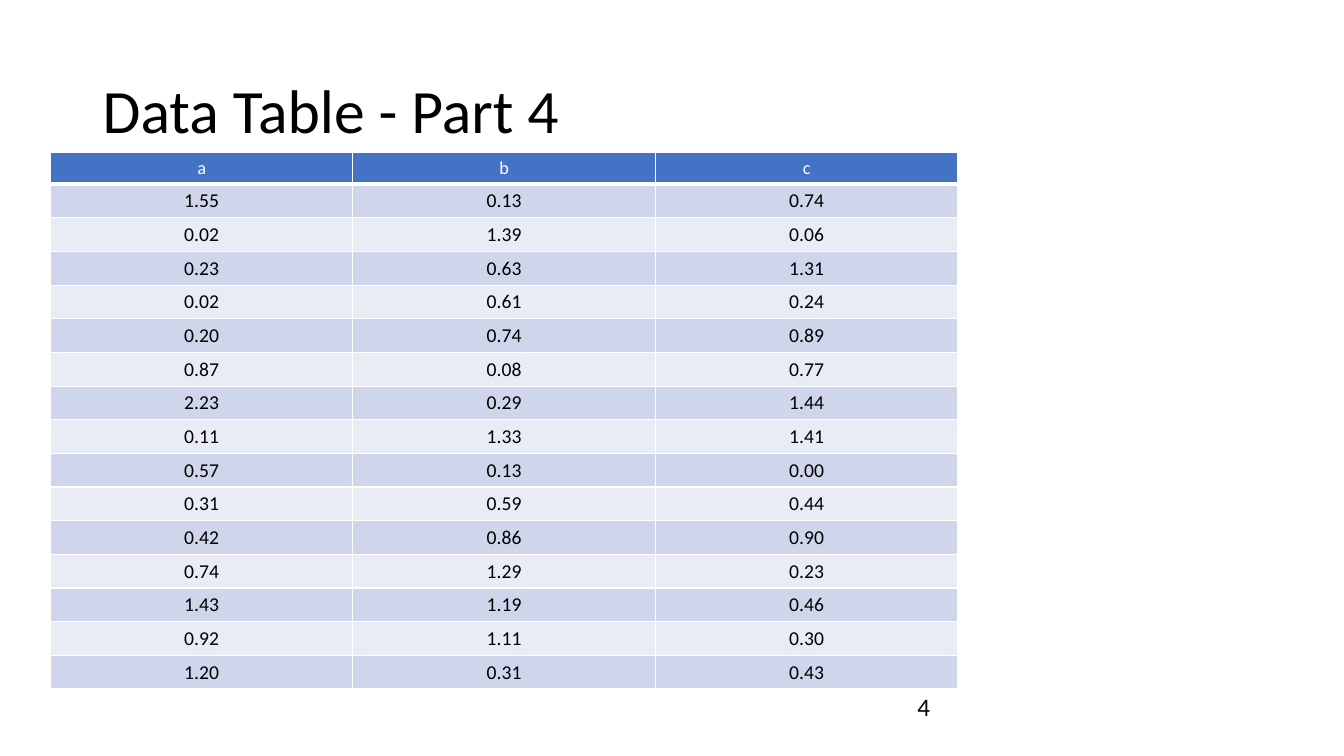
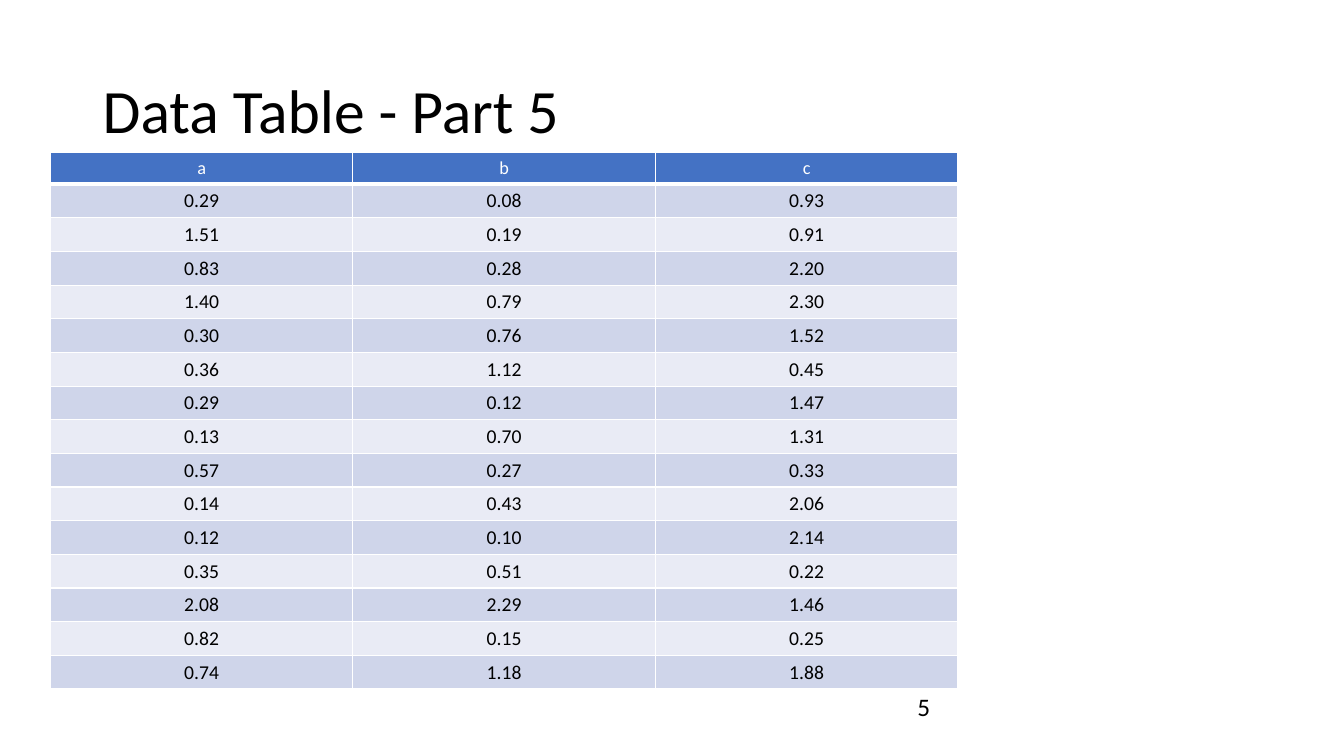
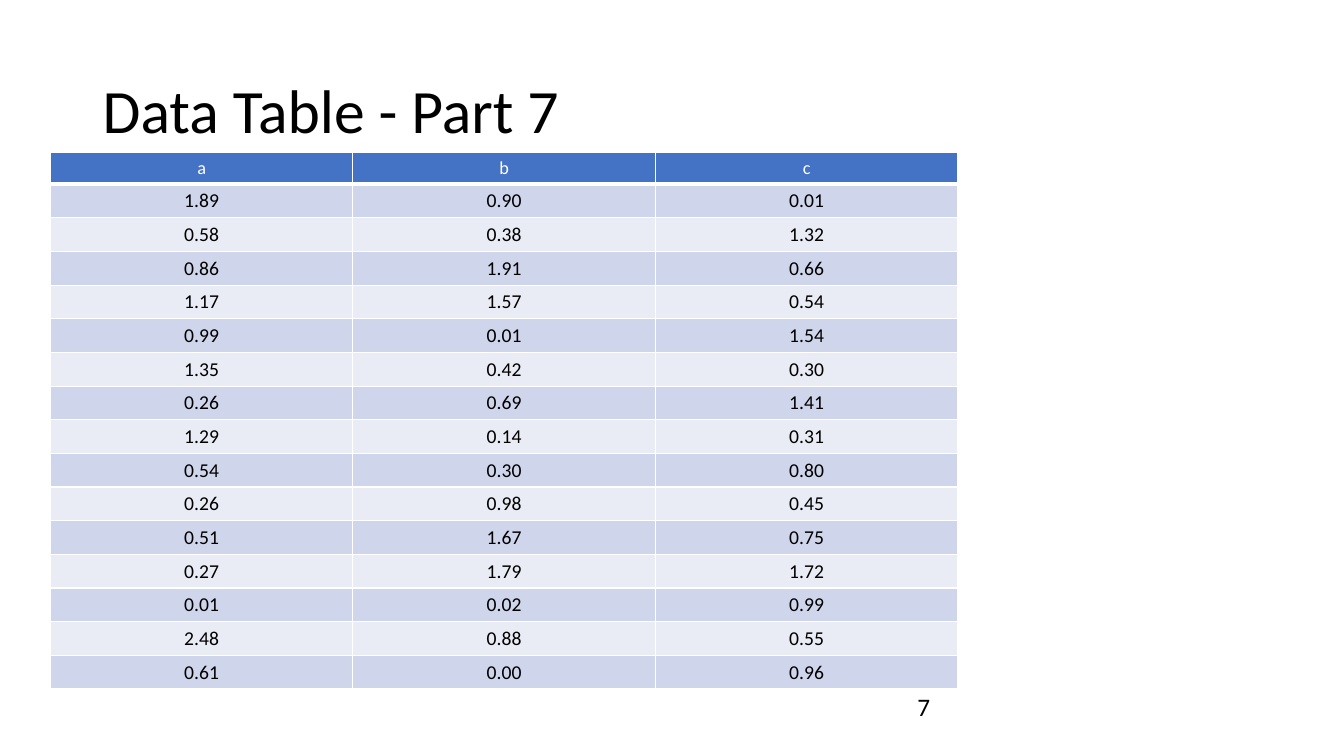
import pptx
import pptx.dml.color
import pptx.enum.text
import pptx.oxml
import pptx.oxml.ns
import pptx.util
from pptx.dml.color import RGBColor
from pptx.util import Inches

# Shared look
BLACK = RGBColor(0x00, 0x00, 0x00)
WHITE = RGBColor(0xFF, 0xFF, 0xFF)
HEADER_BLUE = RGBColor(0x44, 0x72, 0xC4)
BANDS = (RGBColor(0xCF, 0xD5, 0xEA), RGBColor(0xE9, 0xEB, 0xF5))
FONT = "Calibri"
TITLE_FONT = {"size": pptx.util.Pt(44), "color": BLACK}
NUMBER_FONT = {"size": pptx.util.Pt(18), "color": BLACK}
HEADER_FONT = {"size": pptx.util.Pt(13), "color": WHITE}
BODY_FONT = {"size": pptx.util.Pt(14), "color": BLACK}

# Regions: left, top, width, height
TITLE_BOX = (0.92, 0.4, 11.5, 1.45)
TABLE_BOX = (0.5, 1.51, 9, 4)
NUMBER_BOX = (9, 6.5, 1, 1)

# Table contents by part number
HEADINGS = ("a", "b", "c")
PARTS = {
    4: """1.55 0.13 0.74
          0.02 1.39 0.06
          0.23 0.63 1.31
          0.02 0.61 0.24
          0.20 0.74 0.89
          0.87 0.08 0.77
          2.23 0.29 1.44
          0.11 1.33 1.41
          0.57 0.13 0.00
          0.31 0.59 0.44
          0.42 0.86 0.90
          0.74 1.29 0.23
          1.43 1.19 0.46
          0.92 1.11 0.30
          1.20 0.31 0.43""",
    5: """0.29 0.08 0.93
          1.51 0.19 0.91
          0.83 0.28 2.20
          1.40 0.79 2.30
          0.30 0.76 1.52
          0.36 1.12 0.45
          0.29 0.12 1.47
          0.13 0.70 1.31
          0.57 0.27 0.33
          0.14 0.43 2.06
          0.12 0.10 2.14
          0.35 0.51 0.22
          2.08 2.29 1.46
          0.82 0.15 0.25
          0.74 1.18 1.88""",
    7: """1.89 0.90 0.01
          0.58 0.38 1.32
          0.86 1.91 0.66
          1.17 1.57 0.54
          0.99 0.01 1.54
          1.35 0.42 0.30
          0.26 0.69 1.41
          1.29 0.14 0.31
          0.54 0.30 0.80
          0.26 0.98 0.45
          0.51 1.67 0.75
          0.27 1.79 1.72
          0.01 0.02 0.99
          2.48 0.88 0.55
          0.61 0.00 0.96""",
}


def write(para, text, look):
    span = para.add_run()
    span.text = text
    for name, value in {"name": FONT, "bold": False, **look}.items():
        if name == "color":
            span.font.color.rgb = value
        else:
            setattr(span.font, name, value)


def add_text(page, region, text, look, frame_format, line_spacing=None):
    box = page.shapes.add_textbox(*map(Inches, region))
    for name, value in {"word_wrap": True, **frame_format}.items():
        setattr(box.text_frame, name, value)
    para = box.text_frame.paragraphs[0]
    para.line_spacing = line_spacing
    write(para, text, look)


def add_borders(cell, bottom_width):
    widths = {"lnL": 1, "lnR": 1, "lnT": 1, "lnB": bottom_width}
    for place, (side, points) in enumerate(widths.items()):
        line = pptx.oxml.parse_xml(
            f'<a:{side} {pptx.oxml.ns.nsdecls("a")} w="{pptx.util.Pt(points)}">'
            f'<a:solidFill><a:srgbClr val="{WHITE}"/></a:solidFill></a:{side}>')
        cell._tc.get_or_add_tcPr().insert(place, line)


def add_data_table(page, region, rows):
    left, top, width, height = map(Inches, region)
    table = page.shapes.add_table(
        len(rows), len(rows[0]), left, top, width, height).table
    table.horz_banding = False
    for row_index, values in enumerate(rows):
        is_header = row_index == 0
        fill = HEADER_BLUE if is_header else BANDS[(row_index - 1) % 2]
        for column_index, value in enumerate(values):
            cell = table.cell(row_index, column_index)
            cell.fill.solid()
            cell.fill.fore_color.rgb = fill
            add_borders(cell, 3 if is_header else 1)
            para = cell.text_frame.paragraphs[0]
            para.alignment = pptx.enum.text.PP_ALIGN.CENTER
            write(para, value, HEADER_FONT if is_header else BODY_FONT)


def add_data_page(deck, part, figures):
    page = deck.slides.add_slide(deck.slide_layouts[6])
    # Title
    add_text(page, TITLE_BOX, f"Data Table - Part {part}", TITLE_FONT,
             {"vertical_anchor": pptx.enum.text.MSO_ANCHOR.MIDDLE}, 0.9)
    # Table
    rows = [HEADINGS] + [line.split() for line in figures.splitlines()]
    add_data_table(page, TABLE_BOX, rows)
    # Page number, one line below the top of its box
    add_text(page, NUMBER_BOX, str(part), NUMBER_FONT,
             {"margin_top": Inches(0.36)})


deck = pptx.Presentation()
deck.slide_width, deck.slide_height = Inches(13.33), Inches(7.5)
for part, figures in PARTS.items():
    add_data_page(deck, part, figures)
deck.save("out.pptx")
